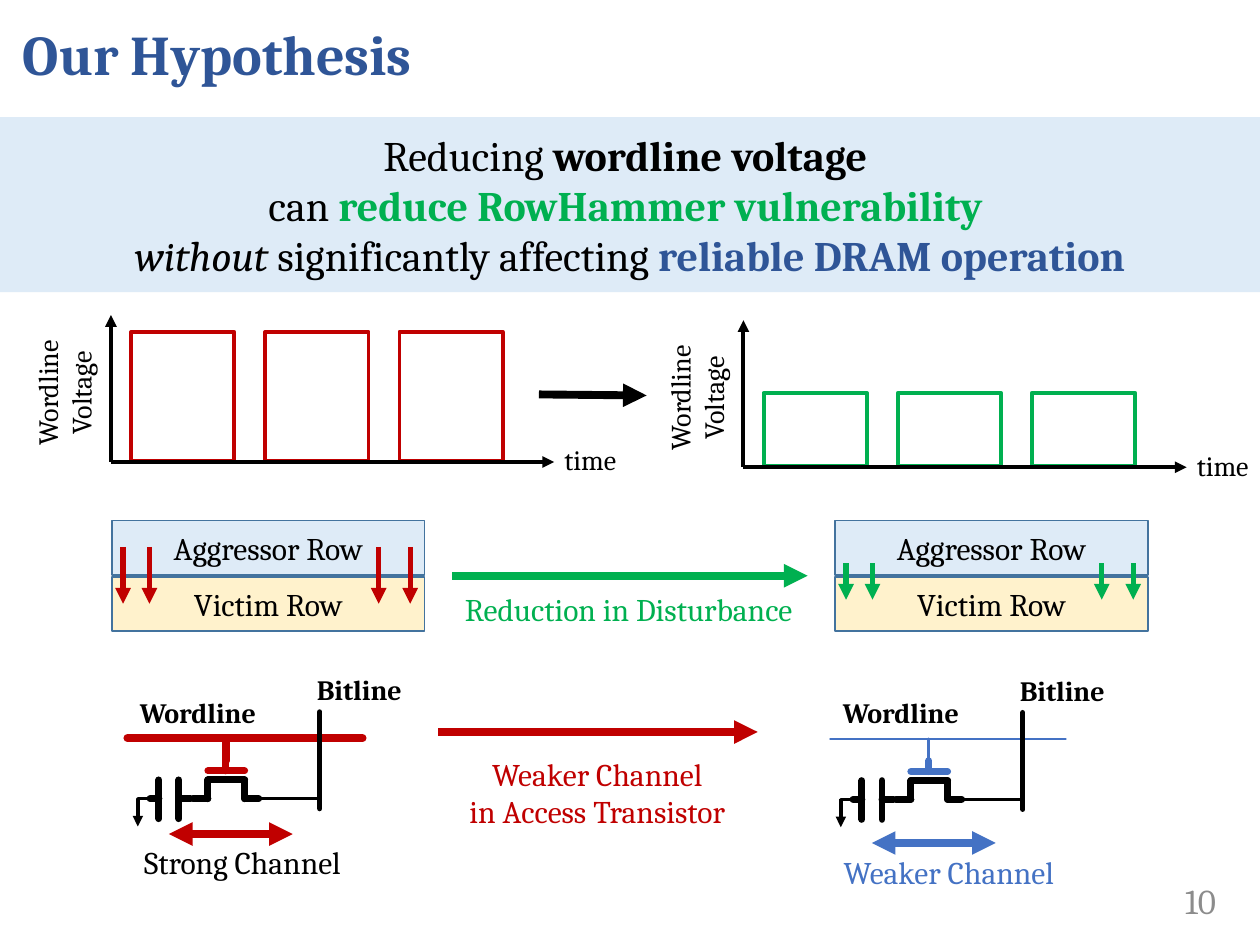
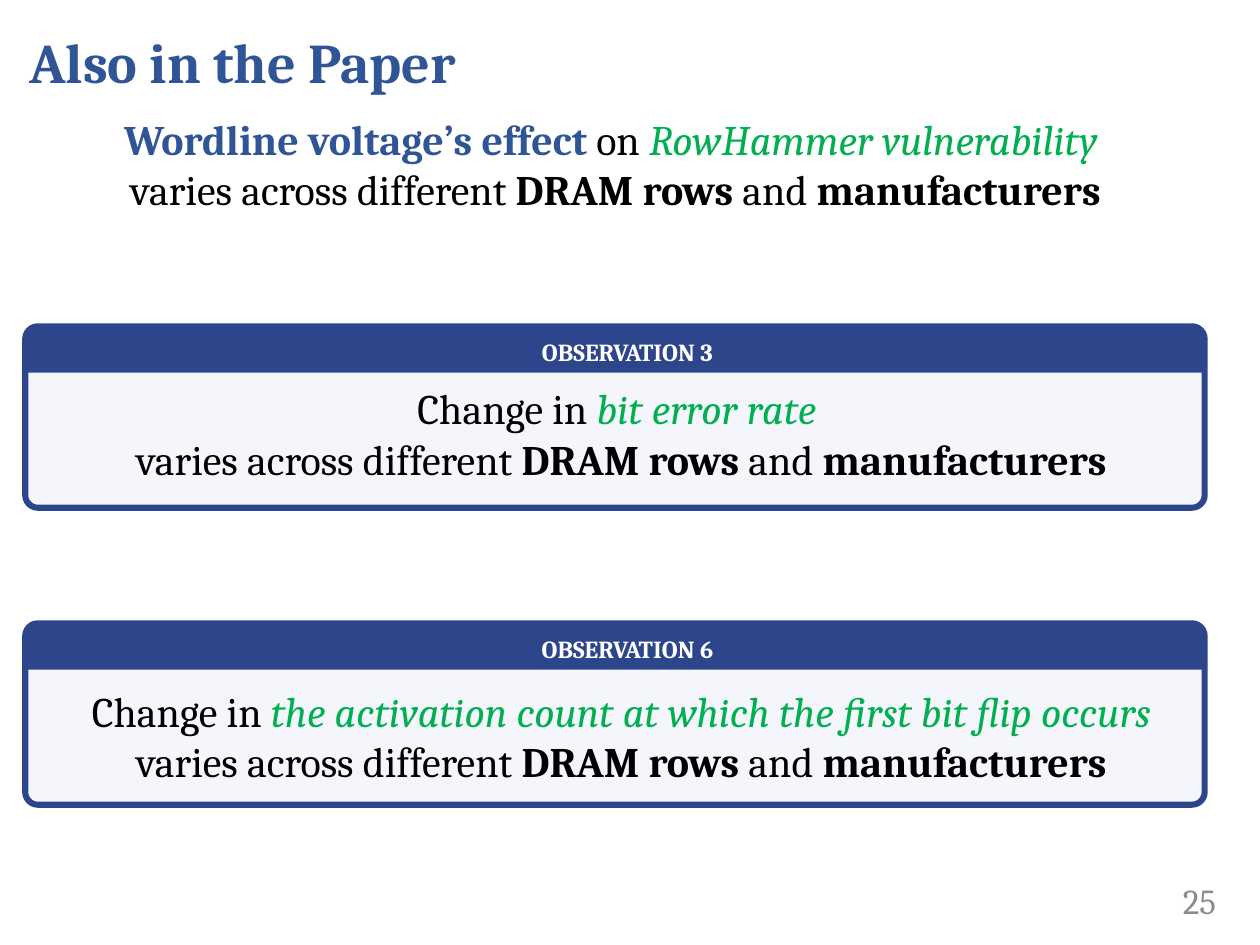
from lxml import etree
from pptx import Presentation
from pptx import util as u
from pptx.dml import color as dml
from pptx.enum import shapes, text
from pptx.oxml import ns

FONT = "Cambria"
BLACK, WHITE, GREY = "000000", "FFFFFF", "8C8C8C"
NAVY, BLUE, RED, GREEN = "2F5597", "4472C4", "C00000", "00B050"
PALE, CREAM, EDGE = "DEEBF7", "FFF2CC", "43739E"
FRAME, PANEL = "2D458A", "F5F6FB"
SHAPE = shapes.MSO_SHAPE
LEFT, MID, RIGHT = text.PP_ALIGN.LEFT, text.PP_ALIGN.CENTER, text.PP_ALIGN.RIGHT
TOP, CENTRE = text.MSO_ANCHOR.TOP, text.MSO_ANCHOR.MIDDLE


def rgb(code):
    return dml.RGBColor.from_string(code)


def write(frame, paras, size=18, color=BLACK, bold=False, align=MID,
          anchor=CENTRE, inset=(7.2, 3.6, 7.2, 3.6), wrap=True, after=0):
    """Fill a frame; a paragraph is a string or a list of (text, style, colour)."""
    frame.auto_size = text.MSO_AUTO_SIZE.NONE
    frame.word_wrap = wrap
    frame.vertical_anchor = anchor
    (frame.margin_left, frame.margin_top,
     frame.margin_right, frame.margin_bottom) = map(u.Pt, inset)
    for i, para in enumerate(paras):
        line = frame.add_paragraph() if i else frame.paragraphs[0]
        line.alignment = align
        line.space_after = u.Pt(after)
        runs = [(para,)] if isinstance(para, str) else para
        for words, style, tint in ((*r, "", color)[:3] if len(r) == 1
                                   else (*r, color)[:3] for r in runs):
            run = line.add_run()
            run.text = words
            font = run.font
            font.name, font.size = FONT, u.Pt(size)
            font.bold = bold or style == "b"
            font.italic = style == "i"
            font.color.rgb = rgb(tint)


class Deck:
    """Holds the style and the current slide."""

    def __init__(self):
        self.prs = Presentation()
        self.prs.slide_width, self.prs.slide_height = u.Pt(720), u.Pt(540)
        self.slide = None

    def page(self, name, number, box):
        layout = self.prs.slide_layouts[5]
        self.slide = self.prs.slides.add_slide(layout)
        head = self.slide.shapes.title
        head.left, head.top, head.width, head.height = map(u.Pt, box)
        write(head.text_frame, [name], size=32, color=NAVY, bold=True,
              align=LEFT, after=6)
        self.label((624, 500.4, 78, 28.8), [number], size=20, color=GREY,
                   align=RIGHT, anchor=CENTRE)

    def label(self, box, paras, turn=0, **form):
        item = self.slide.shapes.add_textbox(*map(u.Pt, box))
        item.rotation = turn
        write(item.text_frame, paras, **{"anchor": TOP, **form})

    def block(self, box, fill=None, edge=None, width=1, kind=SHAPE.RECTANGLE,
              adj=(), paras=(), **form):
        item = self.slide.shapes.add_shape(kind, *map(u.Pt, box))
        item.shadow.inherit = False
        for i, value in enumerate(adj):
            item.adjustments[i] = value
        if fill:
            item.fill.solid()
            item.fill.fore_color.rgb = rgb(fill)
        else:
            item.fill.background()
        if edge:
            item.line.color.rgb = rgb(edge)
            item.line.width = u.Pt(width)
        else:
            item.line.fill.background()
        write(item.text_frame, paras, **form)

    def line(self, x1, y1, x2, y2, color=BLACK, width=2.25, ends="", cap="flat"):
        """Draw a line; ends names the arrowheads, as in "head tail"."""
        item = self.slide.shapes.add_connector(
            shapes.MSO_CONNECTOR.STRAIGHT, *map(u.Pt, (x1, y1, x2, y2)))
        item.line.color.rgb = rgb(color)
        item.line.width = u.Pt(width)
        props = item.element.spPr
        stroke = props.find(ns.qn("a:ln"))
        stroke.set("cap", cap)
        for end in ends.split():
            etree.SubElement(stroke, ns.qn(f"a:{end}End"), type="triangle")
        etree.SubElement(props, ns.qn("a:effectLst"))


def pulses(deck, x, y, color, high):
    """Voltage over time, with its origin at x, y."""
    for i in range(3):
        deck.block((x + 11.5 + 76.7 * i, y - 0.5 - high, 59, high),
                   edge=color, width=2.25)
    deck.line(x, y, x + 253.3, y, ends="tail")
    deck.line(x, y, x, y - 84, ends="tail")
    deck.label((x + 252, y - 14.4, 46, 26.6), ["time"], size=16,
               align=LEFT, wrap=False)
    deck.label((x - 99.4, y - 62.6, 145.4, 46), ["Wordline", "Voltage"],
               turn=270, size=16)


def rows(deck, x, color, start, stop):
    """An aggressor row above a victim row, with disturbance arrows."""
    for name, y, fill in (("Aggressor Row", 297.4, PALE),
                          ("Victim Row", 329.8, CREAM)):
        deck.block((x, y, 178.6, 31), fill, EDGE, paras=[name])
    for dx in (6.3, 21.4, 152.4, 170.4):
        deck.line(x + dx, start, x + dx, stop, color, 3, "tail")


def cell(deck, x, y, color, width):
    """A DRAM cell, with the left end of its wordline at x, y."""
    deck.label((x, y - 24, 87, 18), ["Wordline"], size=16, bold=True,
               align=LEFT, anchor=CENTRE)
    deck.label((x + 92, y - 37, 81, 18), ["Bitline"], size=16, bold=True,
               anchor=CENTRE)
    gate, mid, base = 18.7, 23.9, 34.6
    parts = [
        # Wordline and gate
        (0, 0, 134.4, 0, color, width),
        (56.2, 0, 56.2, 13, color, width),
        (56.2, 12.5, 56.2, gate, color, 4),
        (46, gate, 67, gate, color, 4),
        # Transistor channel
        (46, mid, 67, mid, BLACK, 4),
        (46, mid, 46, base, BLACK, 4),
        (67, mid, 67, base, BLACK, 4),
        (37.5, base, 46, base, BLACK, 4),
        (67, base, 75, base, BLACK, 4),
        # Capacitor
        (13, base, 18, base, BLACK, 4),
        (18, mid, 18, 46, BLACK, 4),
        (29.5, mid, 29.5, 46, BLACK, 4),
        (29.5, base, 36, base, BLACK, 4),
        # Ground and bitline
        (13, base, 6, base, BLACK, 2),
        (6, base, 6, 50.5, BLACK, 2, "tail"),
        (75, base, 109.5, base, BLACK, 2),
        (110, 40.3, 110, -15, BLACK, 3),
    ]
    for x1, y1, x2, y2, *style in parts:
        cap = "flat" if "tail" in style else "rnd"
        deck.line(x + x1, y + y1, x + x2, y + y2, *style, cap=cap)


def finding(deck, y, number, drop, paras):
    """A framed observation with a title band."""
    deck.block((14.4, y, 674, 103.7), PANEL, FRAME, 3.5,
               SHAPE.ROUNDED_RECTANGLE, [0.07])
    deck.block((14.4, y, 674, 26), FRAME, FRAME, 1,
               SHAPE.ROUND_2_SAME_RECTANGLE, [0.34, 0],
               [f"OBSERVATION {number}"], size=14, color=WHITE, bold=True,
               inset=(14.4, 0, 0, 0))
    deck.label((14.4, y + drop, 674, 65.5), paras, size=24,
               inset=(14.4, 3.6, 7.2, 3.6))


def guess(deck):
    deck.page("Our Hypothesis", "10", (5.8, 0, 708, 60.5))
    deck.block((0, 67, 720, 100), PALE, size=24, paras=[
        [("Reducing ",), ("wordline voltage ", "b")],
        [("can ",), ("reduce RowHammer vulnerability ", "b", GREEN)],
        [("without", "i"), (" significantly affecting ",),
         ("reliable DRAM operation", "b", NAVY)]])

    # Wordline voltage
    pulses(deck, 63.4, 264, RED, 73.8)
    deck.line(308, 225.4, 369.5, 226, width=4.5, ends="tail")
    pulses(deck, 424.8, 267, GREEN, 42)

    # Disturbance between rows
    rows(deck, 64, RED, 312.5, 345)
    rows(deck, 477.2, GREEN, 321.8, 342.7)
    deck.line(258.5, 329, 461.5, 329, GREEN, 4.5, "tail")
    deck.label((230.4, 333.4, 257.8, 28.8), ["Reduction in Disturbance"],
               color=GREEN)

    # Channel strength
    cell(deck, 72.8, 421.8, RED, 4.5)
    cell(deck, 474.5, 422.2, BLUE, 1.5)
    for x, y, color in ((96.5, 476.6, RED), (498.2, 481.7, BLUE)):
        deck.line(x, y, x + 70.8, y, color, 4.5, "head tail")
    deck.line(250.5, 418.3, 433, 418.3, RED, 4.5, "tail")
    deck.label((212.4, 427.7, 257.8, 51),
               ["Weaker Channel", "in Access Transistor"], color=RED)
    deck.label((63, 478, 151.2, 28.8), ["Strong Channel"])
    deck.label((466.6, 483.8, 151.2, 28.8), ["Weaker Channel"], color=BLUE)


def paper(deck):
    deck.page("Also in the Paper", "25", (9.4, -10, 670, 90))
    varies = [("varies across different ",), ("DRAM rows ", "b"), ("and ",),
              ("manufacturers", "b")]
    deck.label((7.2, 61.2, 689, 65.5), size=24, paras=[
        [("Wordline voltage’s effect ", "b", NAVY), ("on ",),
         ("RowHammer vulnerability ", "i", GREEN)], varies])
    finding(deck, 186.5, 3, 28.8, [
        [("Change in ",), ("bit error rate ", "i", GREEN)], varies])
    finding(deck, 356.2, 6, 31.9, [
        [("Change in ",),
         ("the activation count at which the first bit flip occurs", "i", GREEN)],
        varies])


def main():
    deck = Deck()
    guess(deck)
    paper(deck)
    deck.prs.save("out.pptx")


if __name__ == "__main__":
    main()
